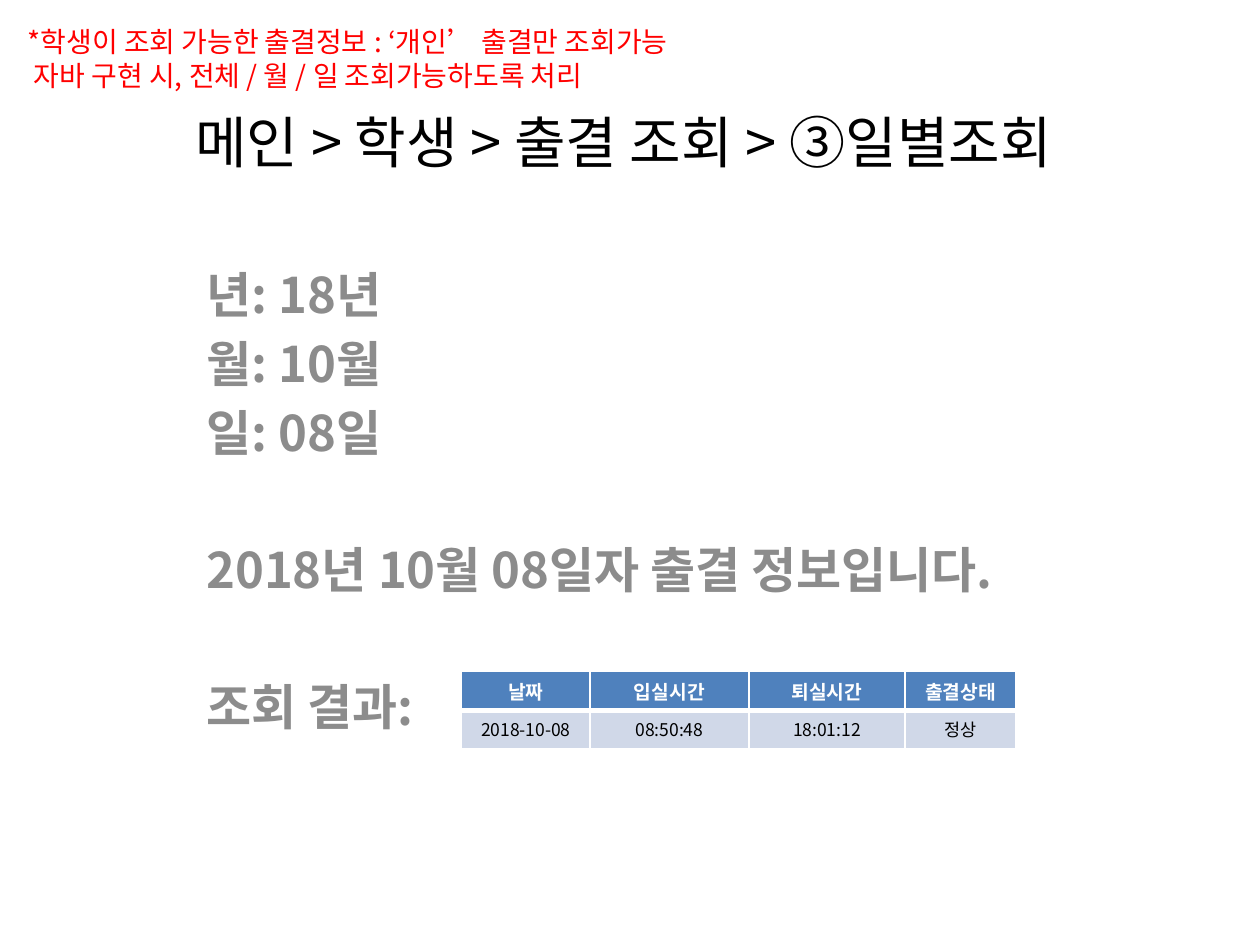
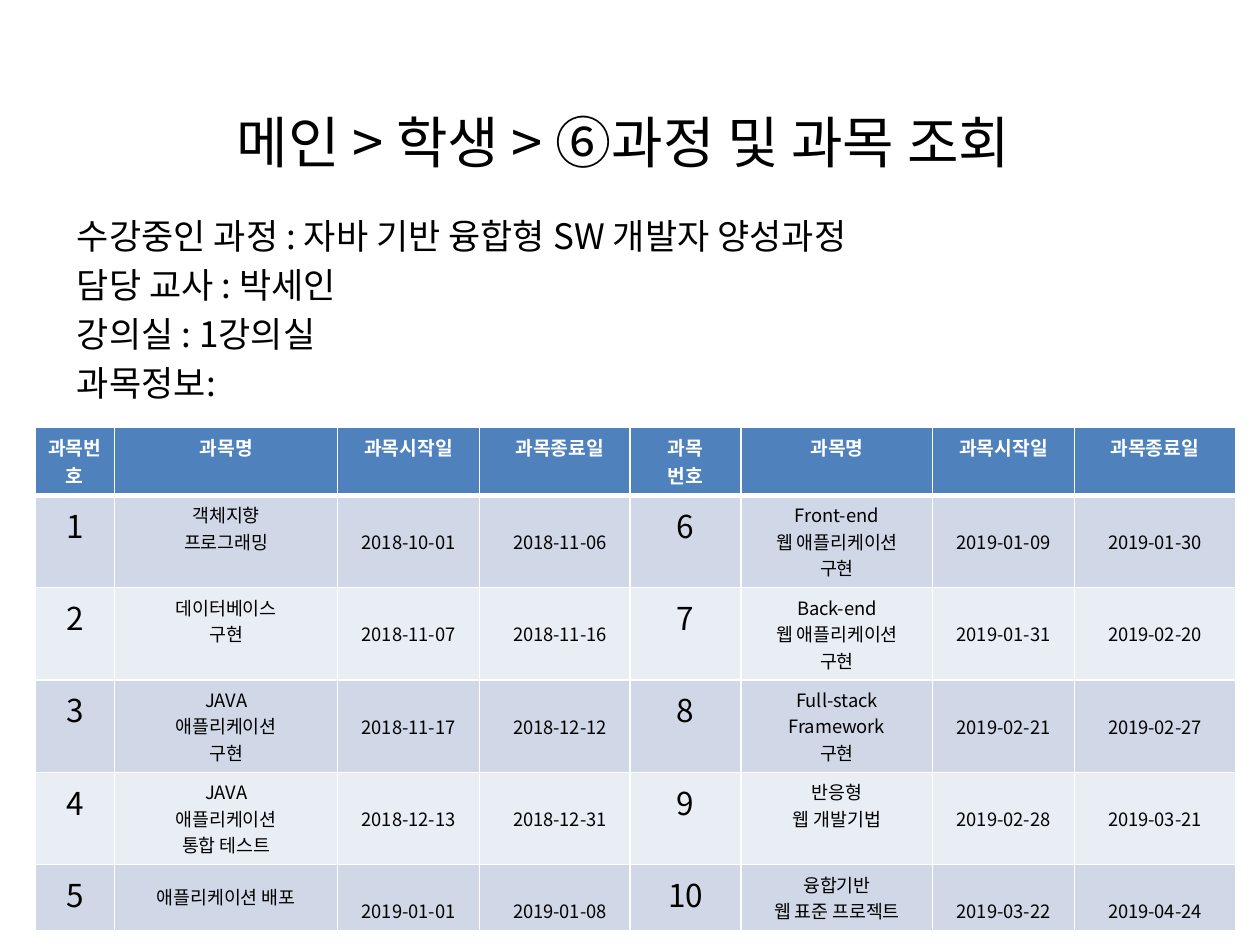
from dataclasses import dataclass, field
from typing import Any

from lxml import etree
from pptx import Presentation
from pptx import util as u
from pptx.dml.color import RGBColor
from pptx.enum import text as t
from pptx.oxml import ns

Pt = u.Pt


@dataclass(frozen=True)
class Theme:
    face: str = "Noto Sans CJK KR"
    ink: str = "000000"
    gray: str = "8C8C8C"
    red: str = "FF0000"
    white: str = "FFFFFF"
    head: str = "4F81BD"
    bands: tuple[str, str] = ("D0D8E8", "E9EDF4")
    title: float = 32
    large: float = 28
    body: float = 20
    note: float = 16
    label: float = 11
    small: float = 10.5
    tiny: float = 10
    number: float = 18
    leading: float = 1.2
    gap: float = 0.2
    pad: float = 3.6


TH = Theme()
LINE = 15.2


@dataclass(frozen=True)
class Style:
    size: float
    color: str = TH.ink
    bold: bool = False


@dataclass(frozen=True)
class Block:
    box: tuple[float, float, float, float]
    lines: list[str]
    style: Style
    inset: float
    gap: float = 0
    skips: tuple[int, ...] = ()
    format: dict[str, Any] = field(default_factory=dict)


@dataclass(frozen=True)
class Cell:
    text: str
    style: Style
    top: float = TH.pad


@dataclass(frozen=True)
class Grid:
    left: float
    top: float
    cols: list[float]
    rows: list[float]
    cells: list[list[Cell]]


def apply(thing: Any, values: dict[str, Any]) -> None:
    for name, value in values.items():
        setattr(thing, name, value)


def write(para: Any, words: str, style: Style) -> None:
    run = para.add_run()
    run.text = words
    apply(run.font, {"size": Pt(style.size), "bold": style.bold, "name": TH.face})
    run.font.color.rgb = RGBColor.from_string(style.color)
    east = etree.SubElement(run.font._element, ns.qn("a:ea"))
    east.set("typeface", TH.face)


def fill(frame: Any, lines: list[str], style: Style, values: dict[str, Any]) -> list[Any]:
    for row, words in enumerate(lines):
        para = frame.add_paragraph() if row else frame.paragraphs[0]
        apply(para, values)
        write(para, words, style)
    return list(frame.paragraphs)


def draw_block(slide: Any, block: Block) -> None:
    frame = slide.shapes.add_textbox(*map(Pt, block.box)).text_frame
    apply(frame, {"word_wrap": True, "margin_top": Pt(block.inset),
                  "vertical_anchor": t.MSO_ANCHOR.TOP})
    paras = fill(frame, block.lines, block.style, block.format)
    pitch = block.style.size * TH.leading + block.gap
    for row, para in enumerate(paras[1:], 1):
        para.space_before = Pt(block.gap + pitch * (row in block.skips))


def draw_title(slide: Any, words: str) -> None:
    draw_block(slide, Block((54, 31.7, 612, 153.4), [words], Style(TH.title), 29.5,
                            format={"alignment": t.PP_ALIGN.CENTER}))


def edge(cell: Any, widths: dict[str, float]) -> None:
    props = cell._tc.get_or_add_tcPr()
    for place, (side, width) in enumerate(widths.items()):
        line = etree.Element(ns.qn(f"a:ln{side}"), w=str(Pt(width)))
        paint = etree.SubElement(line, ns.qn("a:solidFill"))
        etree.SubElement(paint, ns.qn("a:srgbClr"), val=TH.white)
        props.insert(place, line)


def draw_grid(slide: Any, grid: Grid) -> None:
    table = slide.shapes.add_table(
        len(grid.rows), len(grid.cols), Pt(grid.left), Pt(grid.top),
        Pt(sum(grid.cols)), Pt(sum(grid.rows))).table
    apply(table, {"first_row": False, "horz_banding": False})
    for col, width in zip(table.columns, grid.cols):
        col.width = Pt(width)
    for num, (row, height, items) in enumerate(zip(table.rows, grid.rows, grid.cells)):
        row.height = Pt(height)
        color = TH.bands[(num - 1) % 2] if num else TH.head
        for cell, item in zip(row.cells, items):
            apply(cell, {"margin_top": Pt(item.top), "margin_bottom": Pt(TH.pad)})
            cell.fill.solid()
            cell.fill.fore_color.rgb = RGBColor.from_string(color)
            edge(cell, {"L": 1, "R": 1, "T": 3 if num == 1 else 1, "B": 1 if num else 3})
            fill(cell.text_frame, item.text.split("\n"), item.style,
                 {"alignment": t.PP_ALIGN.CENTER})


def heads(*names: str) -> list[Cell]:
    return [Cell(name, Style(TH.label, TH.white, True)) for name in names]


def course(num: int, name: str, start: str, end: str) -> list[Cell]:
    small = Style(TH.small)
    lift = 7.2 if num == 5 else 0
    return [Cell(str(num), Style(TH.number)), Cell(name, small, TH.pad + lift),
            *(Cell(day, small, TH.pad + LINE) for day in (start, end))]


def list_grid(left: float, cols: list[float], label: str, items: list[tuple]) -> Grid:
    top = heads(label, "과목명", "과목시작일", "과목종료일")
    return Grid(left, 244, cols, [39, *[52.8] * 4, 37.6],
                [top, *(course(*item) for item in items)])


def day_slide(slide: Any) -> None:
    draw_title(slide, "메인 > 학생 > 출결 조회 > ③일별조회 ")
    draw_block(slide, Block(
        (110.9, 145.4, 540, 255),
        ["년: 18년", "월: 10월", "일: 08일", "2018년 10월 08일자 출결 정보입니다.", "조회 결과:"],
        Style(TH.large, TH.gray, True), 6, TH.large * TH.gap, (3, 4),
        {"line_spacing": Pt(TH.large * TH.leading)}))
    plain = Style(TH.tiny)
    draw_grid(slide, Grid(
        263.7, 383.5, [73.5, 90.7, 89.3, 63.5], [22.4, 21.8],
        [heads("날짜", "입실시간", "퇴실시간", "출결상태"),
         [Cell(words, plain) for words in ("2018-10-08", "08:50:48", "18:01:12", "정상")]]))
    draw_block(slide, Block(
        (8.8, 9.4, 412, 46),
        ["*학생이 조회 가능한 출결정보 : ‘개인’ 출결만 조회가능",
         " 자바 구현 시, 전체 / 월 / 일 조회가능하도록 처리"],
        Style(TH.note, TH.red), 5, format={"line_spacing": Pt(19)}))


def course_slide(slide: Any) -> None:
    draw_title(slide, "메인 > 학생 > ⑥과정 및 과목 조회 ")
    draw_block(slide, Block(
        (36.9, 116.6, 657, 329),
        ["수강중인 과정 : 자바 기반 융합형 SW 개발자 양성과정", "담당 교사 : 박세인",
         "강의실 : 1강의실", "과목정보:"],
        Style(TH.body), 6, TH.body * TH.gap,
        format={"line_spacing": Pt(TH.body * TH.leading)}))
    draw_grid(slide, list_grid(20, [45.5, 127.5, 81, 92], "과목번호", [
        (1, "객체지향\n프로그래밍", "2018-10-01", "2018-11-06"),
        (2, "데이터베이스\n구현", "2018-11-07", "2018-11-16"),
        (3, "JAVA\n애플리케이션\n구현", "2018-11-17", "2018-12-12"),
        (4, "JAVA\n애플리케이션\n통합 테스트", "2018-12-13", "2018-12-31"),
        (5, "애플리케이션 배포", "2019-01-01", "2019-01-08")]))
    draw_grid(slide, list_grid(360, [63.5, 109.5, 81, 92], "과목\n번호", [
        (6, "Front-end\n웹 애플리케이션\n구현", "2019-01-09", "2019-01-30"),
        (7, "Back-end\n웹 애플리케이션\n구현", "2019-01-31", "2019-02-20"),
        (8, "Full-stack Framework\n구현", "2019-02-21", "2019-02-27"),
        (9, "반응형\n웹 개발기법", "2019-02-28", "2019-03-21"),
        (10, "융합기반\n웹 표준 프로젝트", "2019-03-22", "2019-04-24")]))


def main() -> None:
    deck = Presentation()
    apply(deck, {"slide_width": Pt(720), "slide_height": Pt(540)})
    for build in (day_slide, course_slide):
        build(deck.slides.add_slide(deck.slide_layouts[6]))
    deck.save("out.pptx")


main()
